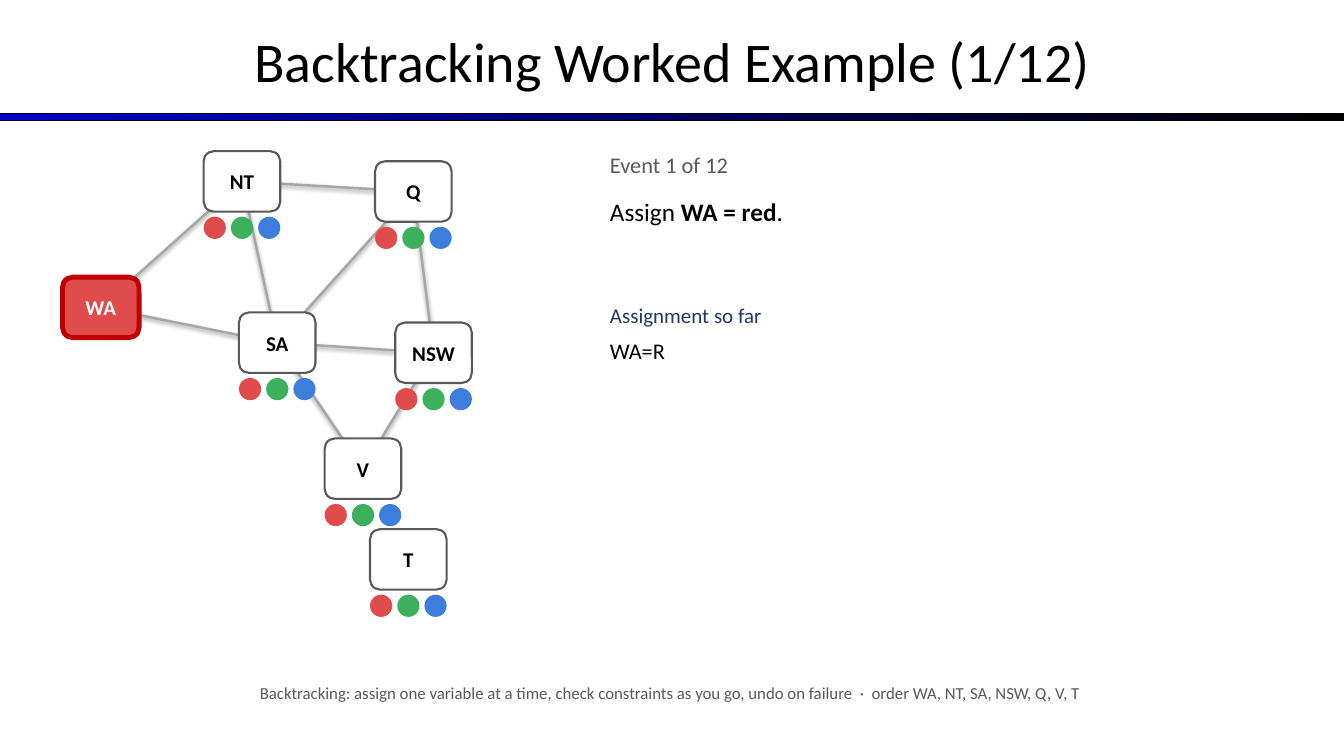
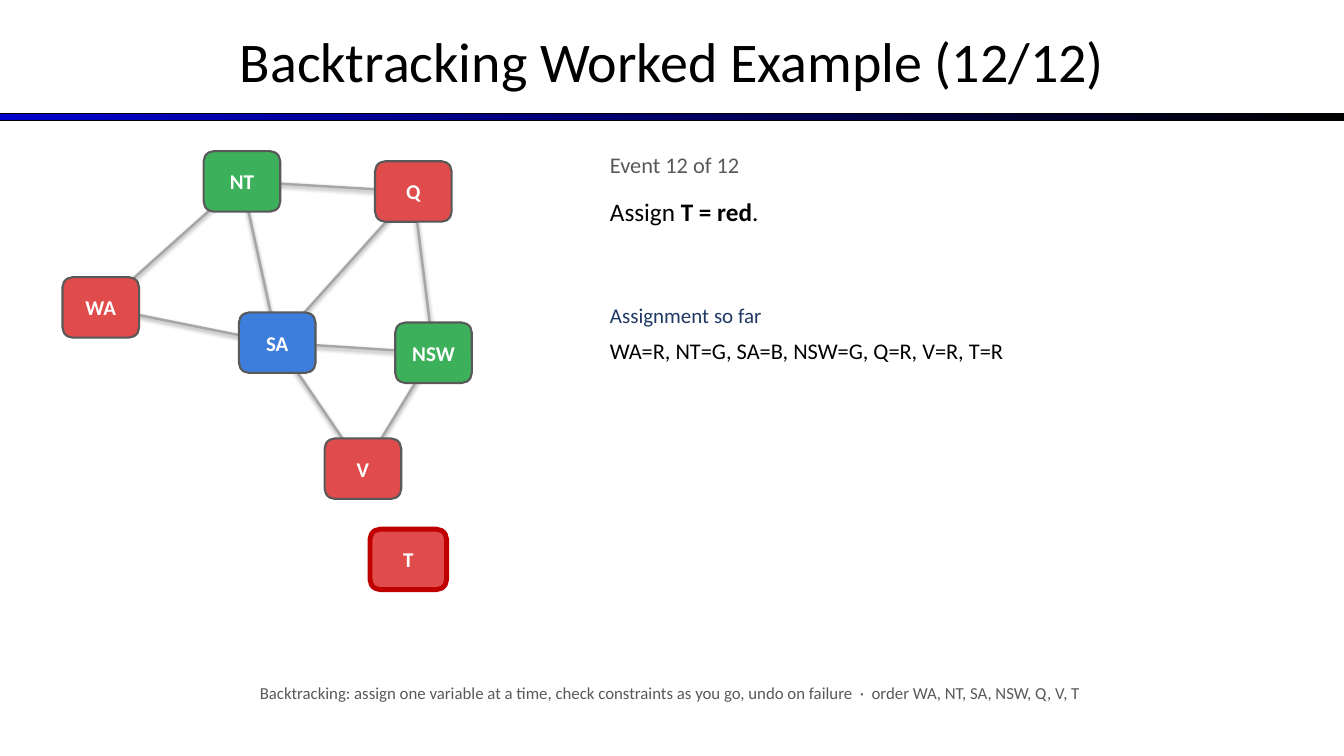
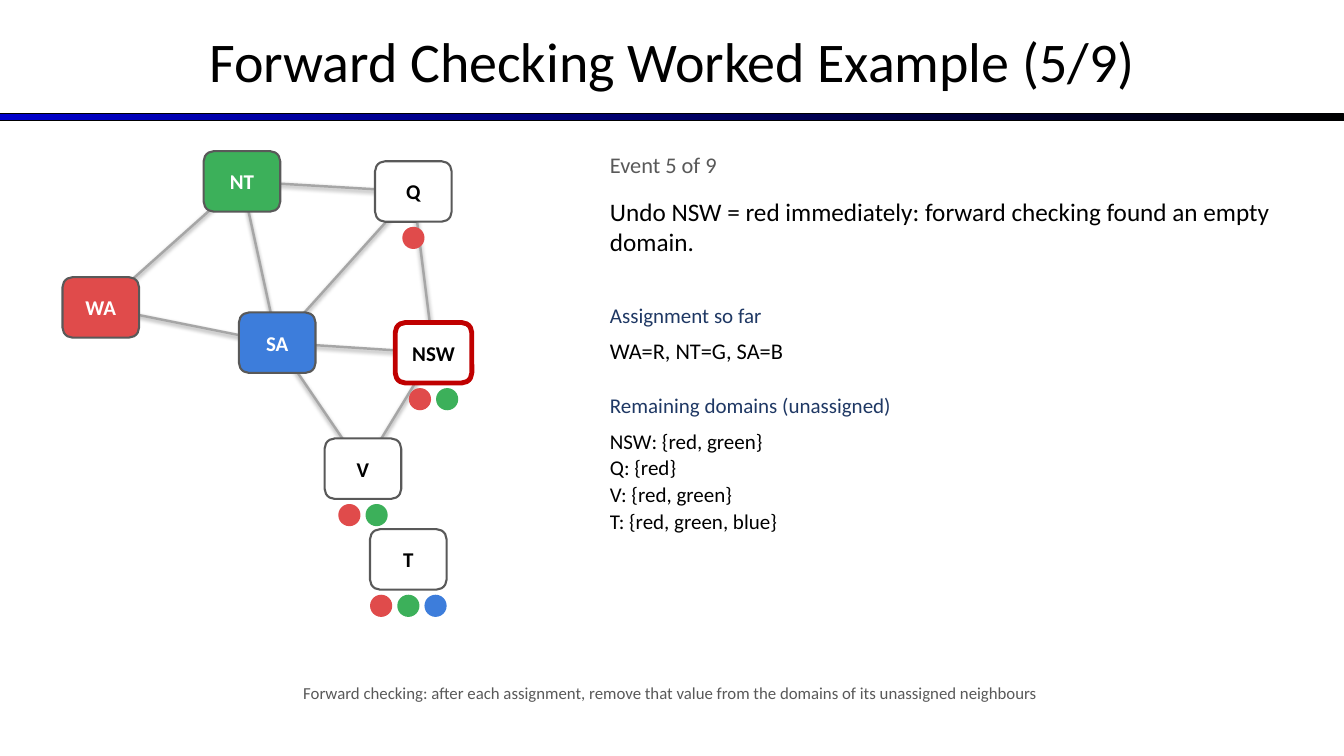
from pptx import Presentation
from pptx.dml.color import RGBColor
from pptx.enum.shapes import MSO_CONNECTOR, MSO_SHAPE
from pptx.enum.text import MSO_ANCHOR, MSO_AUTO_SIZE, PP_ALIGN
from pptx.util import Inches, Pt

COLORS = {
    "red": "E04B4B", "green": "3CB05A", "blue": "3D7DDB",
    "white": "FFFFFF", "black": "000000", "grey": "595959",
    "edge": "A6A6A6", "active": "C00000", "heading": "1F3864",
    "band": "0000CC",
}
FONT = "Calibri"
SLIDE_WIDTH = 13.33
NODE_WIDTH, NODE_HEIGHT = 0.76, 0.6
DOT_SIZE, DOT_STEP, DOT_DROP = 0.22, 0.27, 0.35

CENTERS = {
    "WA": (1, 3.05), "NT": (2.4, 1.8), "SA": (2.75, 3.4), "NSW": (4.3, 3.5),
    "Q": (4.1, 1.9), "V": (3.6, 4.65), "T": (4.05, 5.55),
}
EDGES = [
    ("NT", "WA"), ("NT", "SA"), ("NT", "Q"), ("SA", "WA"), ("SA", "V"),
    ("Q", "SA"), ("NSW", "Q"), ("NSW", "SA"), ("NSW", "V"),
]
FULL_DOMAIN = ["red", "green", "blue"]
BACKTRACKING = (
    "Backtracking: assign one variable at a time, check constraints as you go, "
    "undo on failure  ·  order " + ", ".join(CENTERS)
)
FORWARD_CHECKING = (
    "Forward checking: after each assignment, remove that value from the domains "
    "of its unassigned neighbours"
)
STEPS = [
    {
        "method": "Backtracking", "event": 1, "total": 12, "active": "WA",
        "action": "Assign **WA = red**.",
        "assigned": {"WA": "red"},
        "domains": {}, "list_domains": False, "footer": BACKTRACKING,
    },
    {
        "method": "Backtracking", "event": 12, "total": 12, "active": "T",
        "action": "Assign **T = red**.",
        "assigned": {"WA": "red", "NT": "green", "SA": "blue", "NSW": "green",
                     "Q": "red", "V": "red", "T": "red"},
        "domains": {}, "list_domains": False, "footer": BACKTRACKING,
    },
    {
        "method": "Forward Checking", "event": 5, "total": 9, "active": "NSW",
        "action": "Undo NSW = red immediately: forward checking found an empty domain.",
        "assigned": {"WA": "red", "NT": "green", "SA": "blue"},
        "domains": {"NSW": ["red", "green"], "Q": ["red"], "V": ["red", "green"]},
        "list_domains": True, "footer": FORWARD_CHECKING,
    },
]


def rgb(name):
    return RGBColor.from_string(COLORS[name])


def write(shape, text, size, color="black", bold=False, align=PP_ALIGN.LEFT,
          space_after=0, anchor=MSO_ANCHOR.TOP, margins=(0.05, 0.05), grow=False):
    frame = shape.text_frame
    frame.word_wrap = True
    frame.auto_size = MSO_AUTO_SIZE.SHAPE_TO_FIT_TEXT if grow else MSO_AUTO_SIZE.NONE
    frame.vertical_anchor = anchor
    frame.margin_left = frame.margin_right = Inches(margins[0])
    frame.margin_top = frame.margin_bottom = Inches(margins[1])
    for number, line in enumerate(text.split("\n")):
        paragraph = frame.add_paragraph() if number else frame.paragraphs[0]
        paragraph.alignment = align
        paragraph.space_after = Pt(space_after)
        for part, words in enumerate(line.split("**")):
            run = paragraph.add_run()
            run.text = words
            run.font.name = FONT
            run.font.size = Pt(size)
            run.font.bold = bold or part % 2 == 1
            run.font.color.rgb = rgb(color)


presentation = Presentation()
presentation.slide_width = Inches(SLIDE_WIDTH)
presentation.slide_height = Inches(7.5)
layout = presentation.slide_layouts.get_by_name("Title Only")
layout_title = layout.placeholders[0]
layout_title.left, layout_title.top = Inches(0), Inches(-0.03)
layout_title.width, layout_title.height = Inches(SLIDE_WIDTH), Inches(1.25)

slides = [presentation.slides.add_slide(layout) for step in STEPS]

band = slides[0].shapes.add_shape(
    MSO_SHAPE.RECTANGLE, Inches(0), Inches(1.13), Inches(SLIDE_WIDTH), Inches(0.07))
band.shadow.inherit = False
band.fill.gradient()
band.fill.gradient_angle = 0
for stop, color in zip(band.fill.gradient_stops, ("band", "black")):
    stop.color.rgb = rgb(color)
band.line.color.rgb = rgb("black")
band.line.width = Pt(0.75)
layout.shapes.element.insert(2, band.element)

for slide, step in zip(slides, STEPS):
    shapes = slide.shapes
    assigned = step["assigned"]
    domains = {name: step["domains"].get(name, FULL_DOMAIN)
               for name in CENTERS if name not in assigned}
    write(shapes.title,
          f"{step['method']} Worked Example ({step['event']}/{step['total']})",
          40, align=PP_ALIGN.CENTER, anchor=MSO_ANCHOR.MIDDLE, margins=(0.1, 0.05))

    for start, end in EDGES:
        points = [Inches(value) for value in CENTERS[start] + CENTERS[end]]
        edge = shapes.add_connector(MSO_CONNECTOR.STRAIGHT, *points)
        edge.line.color.rgb = rgb("edge")
        edge.line.width = Pt(1.75)

    for name, (x, y) in CENTERS.items():
        active = name == step["active"]
        node = shapes.add_shape(
            MSO_SHAPE.ROUNDED_RECTANGLE, Inches(x - NODE_WIDTH / 2),
            Inches(y - NODE_HEIGHT / 2), Inches(NODE_WIDTH), Inches(NODE_HEIGHT))
        node.shadow.inherit = False
        node.fill.solid()
        node.fill.fore_color.rgb = rgb(assigned.get(name, "white"))
        node.line.color.rgb = rgb("active" if active else "grey")
        node.line.width = Pt(3.5 if active else 1.5)
        write(node, name, 15, "white" if name in assigned else "black", bold=True,
              align=PP_ALIGN.CENTER, anchor=MSO_ANCHOR.MIDDLE, margins=(0, 0))

        domain = domains.get(name, [])
        first_left = x - (len(domain) - 1) * DOT_STEP / 2 - DOT_SIZE / 2
        for position, color in enumerate(domain):
            dot = shapes.add_shape(
                MSO_SHAPE.OVAL, Inches(first_left + position * DOT_STEP),
                Inches(y + DOT_DROP), Inches(DOT_SIZE), Inches(DOT_SIZE))
            dot.shadow.inherit = False
            dot.fill.solid()
            dot.fill.fore_color.rgb = rgb(color)
            dot.line.fill.background()

    assignment = ", ".join(f"{name}={color[0].upper()}" for name, color in assigned.items())
    notes = [
        (1.45, 0.5, f"Event {step['event']} of {step['total']}", 16, "grey", 4),
        (1.9, 1, step["action"], 18, "black", 4),
        (2.95, 0.4, "Assignment so far", 15, "heading", 4),
        (3.3, 0.5, assignment, 16, "black", 4),
    ]
    if step["list_domains"]:
        listing = "\n".join(f"{name}: {{{', '.join(domain)}}}"
                            for name, domain in domains.items())
        notes += [
            (3.85, 0.4, "Remaining domains (unassigned)", 15, "heading", 4),
            (4.2, 2.2, listing, 15, "black", 1),
        ]
    for top, height, text, size, color, space_after in notes:
        box = shapes.add_textbox(Inches(6), Inches(top), Inches(7), Inches(height))
        write(box, text, size, color, space_after=space_after, grow=True)

    footer = shapes.add_textbox(Inches(0.4), Inches(6.72), Inches(12.5), Inches(0.35))
    write(footer, step["footer"], 12, "grey", align=PP_ALIGN.CENTER,
          space_after=4, grow=True)

presentation.save("out.pptx")
